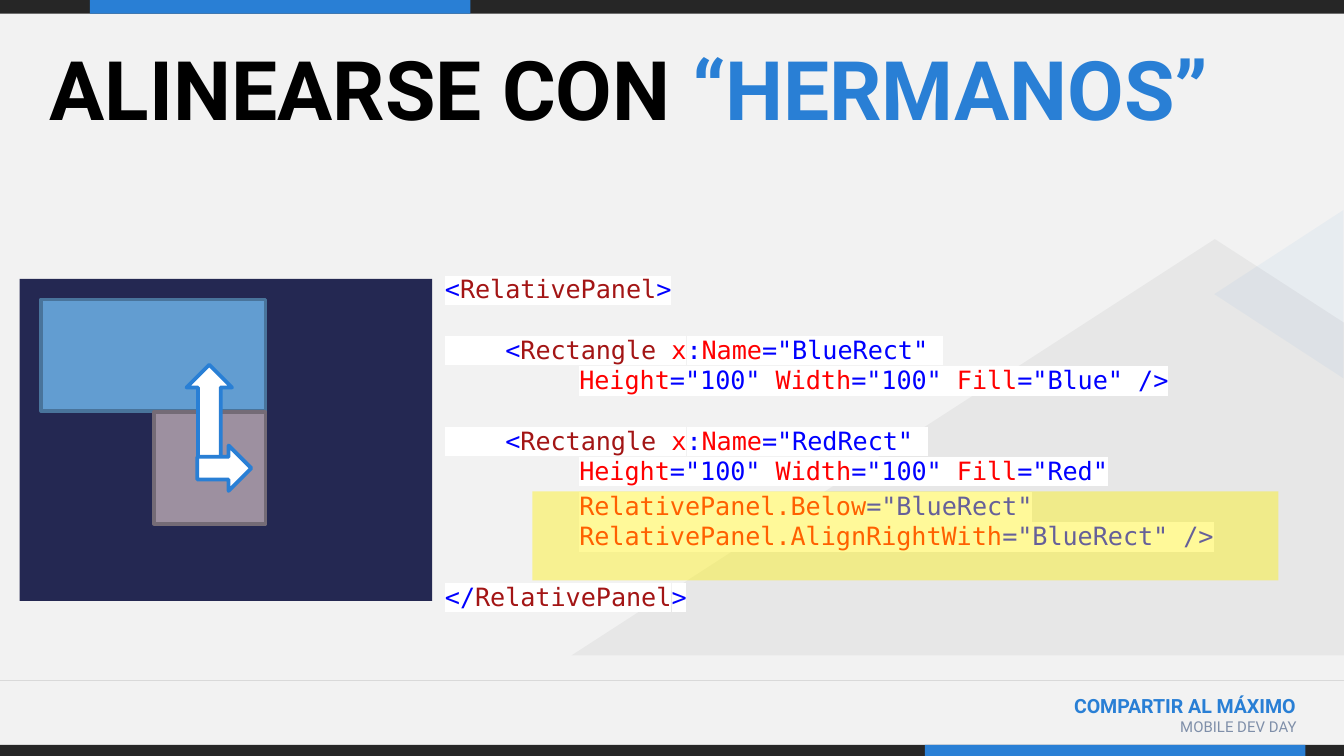
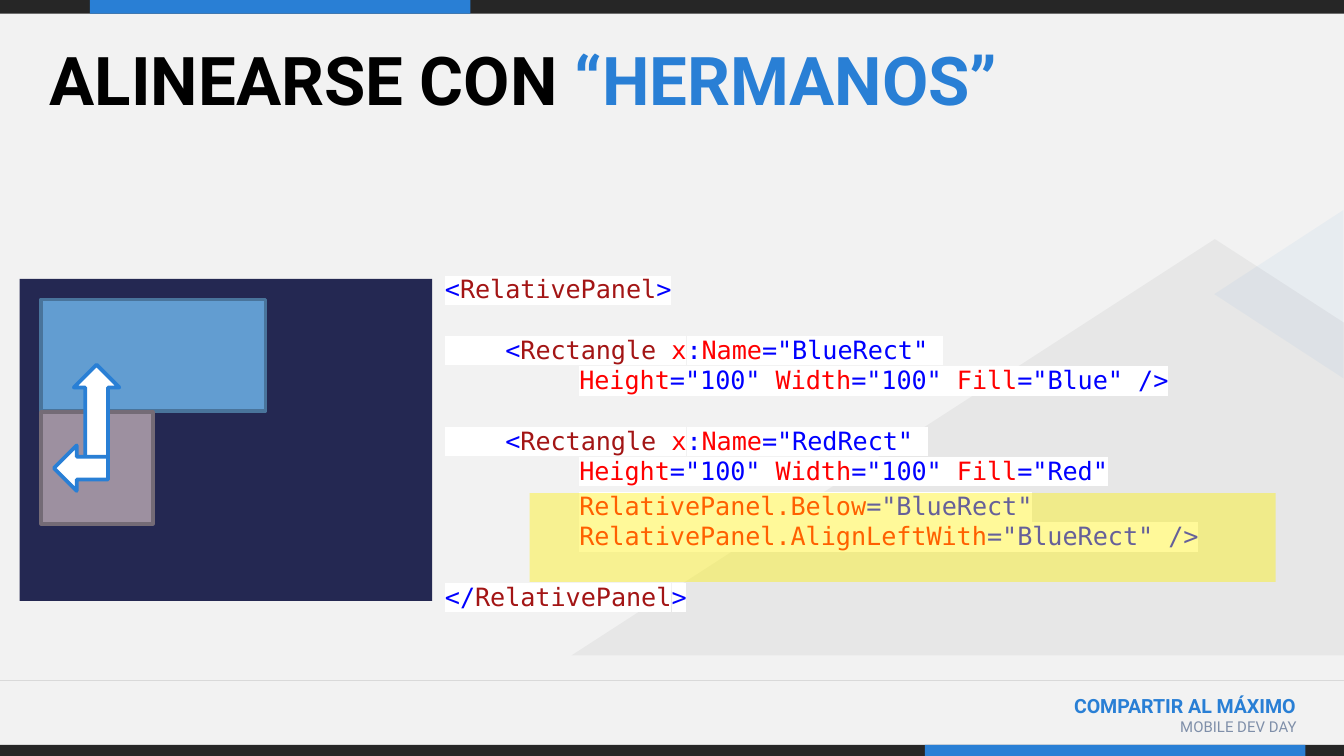
from copy import deepcopy
from dataclasses import dataclass

from lxml import etree
from pptx import Presentation
from pptx.dml.color import RGBColor
from pptx.enum.shapes import MSO_CONNECTOR, MSO_SHAPE
from pptx.enum.text import MSO_ANCHOR, PP_ALIGN
from pptx.oxml.ns import qn
from pptx.util import Cm, Pt

RECT = MSO_SHAPE.RECTANGLE
TRIANGLE = MSO_SHAPE.ISOSCELES_TRIANGLE
LEFT_ARROW = MSO_SHAPE.LEFT_ARROW
STRAIGHT = MSO_CONNECTOR.STRAIGHT
TOP, MIDDLE = MSO_ANCHOR.TOP, MSO_ANCHOR.MIDDLE
LEFT, RIGHT = PP_ALIGN.LEFT, PP_ALIGN.RIGHT


@dataclass(frozen=True)
class Theme:
    width: float = 25.4
    height: float = 14.29
    background: str = "F2F2F2"
    dark: str = "262626"
    accent: str = "297FD5"
    rule: str = "D9D9D9"
    muted: str = "7F8FA9"
    black: str = "000000"
    white: str = "FFFFFF"
    panel: str = "242852"
    blue: str = "629DD1"
    blue_edge: str = "49749B"
    red: str = "9D90A0"
    red_edge: str = "746B76"
    marker: str = "FFF100"
    tag: str = "A31515"
    attribute: str = "FF0000"
    value: str = "0000FF"
    font: str = "Roboto"
    code_font: str = "DejaVu Sans Mono"
    code_size: float = 13.5
    code_line: float = 16.2
    code_step: float = 2.7
    code_tab: float = 2.54
    footer_size: float = 10.5
    event_size: float = 8


THEME = Theme()


def apply(target, values):
    for name, value in values.items():
        setattr(target, name, value)


class Deck:
    def __init__(self, theme):
        self.theme = theme
        self.presentation = Presentation()
        apply(self.presentation, {"slide_width": Cm(theme.width),
                                  "slide_height": Cm(theme.height)})
        self.slide = None

    def new_slide(self):
        theme = self.theme
        self.slide = self.presentation.slides.add_slide(
            self.presentation.slide_layouts[6])
        fill = self.slide.background.fill
        fill.solid()
        fill.fore_color.rgb = RGBColor.from_string(theme.background)
        for top, height, accent_left in ((0, 0.26, 1.7), (14.08, 0.21, 17.48)):
            self.shape(RECT, (0, top, theme.width, height), theme.dark)
            self.shape(RECT, (accent_left, top, 7.19, height), theme.accent)
        self.footer("COMPARTIR AL MÁXIMO", (17.15, 12.99, 7.59, 1.02),
                    theme.footer_size, theme.accent, True)
        self.footer("MOBILE DEV DAY", (20.16, 13.44, 4.6, 0.79),
                    theme.event_size, theme.muted, False)
        self.line((0, 12.86), (theme.width, 12.86), theme.rule, 0.75)
        self.outline([(25.4, 12.39), (25.4, 6.1), (22.96, 4.52),
                      (10.8, 12.39)], theme.dark, 5)
        self.shape(TRIANGLE, (22.58, 4.34, 3.18, 2.44), theme.accent,
                   alpha=5, rotation=270)

    def paint(self, shape, color, alpha=None, edge=None):
        shape.shadow.inherit = False
        shape.fill.solid()
        shape.fill.fore_color.rgb = RGBColor.from_string(color)
        if alpha is not None:
            tint = shape._element.spPr.find(".//" + qn("a:srgbClr"))
            etree.SubElement(tint, qn("a:alpha")).set("val", str(alpha * 1000))
        if edge:
            shape.line.color.rgb = RGBColor.from_string(edge)
            shape.line.width = Pt(2)
        else:
            shape.line.fill.background()

    def shape(self, kind, box, color, alpha=None, edge=None, rotation=0):
        shape = self.slide.shapes.add_shape(kind, *map(Cm, box))
        shape.rotation = rotation
        self.paint(shape, color, alpha, edge)

    def outline(self, points, color, alpha):
        corners = [(Cm(x), Cm(y)) for x, y in points]
        builder = self.slide.shapes.build_freeform(*corners[0])
        builder.add_line_segments(corners[1:], close=True)
        self.paint(builder.convert_to_shape(), color, alpha)

    def line(self, start, end, color, width):
        line = self.slide.shapes.add_connector(
            STRAIGHT, *map(Cm, start + end))
        line.line.color.rgb = RGBColor.from_string(color)
        line.line.width = Pt(width)
        etree.SubElement(line._element.spPr, qn("a:effectLst"))

    def text_box(self, box, anchor=TOP, inset=(0.25, 0.13)):
        frame = self.slide.shapes.add_textbox(*map(Cm, box)).text_frame
        side, edge = map(Cm, inset)
        apply(frame, {"word_wrap": True, "vertical_anchor": anchor,
                      "margin_left": side, "margin_right": side,
                      "margin_top": edge, "margin_bottom": edge})
        return frame

    def run(self, paragraph, text, color, size, bold=False, font=None):
        run = paragraph.add_run()
        run.text = text
        apply(run.font, {"name": font or self.theme.font,
                         "size": Pt(size), "bold": bold})
        run.font.color.rgb = RGBColor.from_string(color)
        return run

    def footer(self, text, box, size, color, bold):
        paragraph = self.text_box(box).paragraphs[0]
        paragraph.alignment = RIGHT
        self.run(paragraph, text, color, size, bold)

    def title(self, plain, accented, size):
        box = self.text_box((0.56, 0.43, 24.28, 2.06), inset=(0.38, 0.3))
        for text, color in ((plain, self.theme.black),
                            (accented, self.theme.accent)):
            self.run(box.paragraphs[0], text, color, size, True)

    def code_run(self, paragraph, text, color):
        theme = self.theme
        run = self.run(paragraph, text, color, theme.code_size,
                       font=theme.code_font)
        highlight = etree.Element(qn("a:highlight"))
        etree.SubElement(highlight, qn("a:srgbClr")).set("val", theme.white)
        properties = run._r.rPr
        properties.find(qn("a:solidFill")).addnext(highlight)
        return properties

    def tab_stop(self, paragraph, position):
        stops = etree.SubElement(paragraph._p.get_or_add_pPr(),
                                 qn("a:tabLst"))
        stop = etree.SubElement(stops, qn("a:tab"))
        stop.set("pos", str(Cm(position)))
        stop.set("algn", "l")

    def code(self, blocks, width):
        frame = self.text_box((8.03, 2.46, width, 11.81), MIDDLE, (0.38, 0.3))
        for index, (space, lines) in enumerate(blocks):
            paragraph = frame.add_paragraph() if index else frame.paragraphs[0]
            paragraph.alignment = LEFT
            if index:
                paragraph.space_before = Pt(space)
            self.tab_stop(paragraph, self.theme.code_tab)
            for row, tokens in enumerate(lines):
                if row:
                    paragraph.add_line_break()
                    paragraph._p[-1].append(deepcopy(properties))
                for text, color in tokens:
                    properties = self.code_run(paragraph, text, color)


def rectangle_code(name, color, ending):
    tag, attribute, value = THEME.tag, THEME.attribute, THEME.value
    return [
        [("    ", THEME.black), ("<", value), ("Rectangle", tag),
         (" x", attribute), (":", value), ("Name", attribute),
         (f'="{name}" ', value)],
        [("\tHeight", attribute), ('="100"', value),
         (" Width", attribute), ('="100"', value),
         (" Fill", attribute), (f'="{color}"{ending}', value)],
    ]


def panel_code(alignment):
    tag, attribute, value = THEME.tag, THEME.attribute, THEME.value
    return [
        (0, [[("<", value), ("RelativePanel", tag), (">", value)]]),
        (THEME.code_line, rectangle_code("BlueRect", "Blue", " />")),
        (THEME.code_line, rectangle_code("RedRect", "Red", "")),
        (THEME.code_step, [
            [("\tRelativePanel.Below", attribute), ('="BlueRect"', value)],
            [(f"\tRelativePanel.{alignment}", attribute),
             ('="BlueRect" />', value)]]),
        (THEME.code_line,
         [[("</", value), ("RelativePanel", tag), (">", value)]]),
    ]


def sibling_slide(deck, title_size, alignment, code_width, red_left,
                  side_left, side_rotation, marker):
    deck.new_slide()
    deck.title("ALINEARSE CON ", "“HERMANOS”", title_size)
    deck.code(panel_code(alignment), code_width)
    deck.shape(RECT, (0.37, 5.27, 7.8, 6.09), THEME.panel)
    deck.shape(RECT, (0.78, 5.66, 4.24, 2.11), THEME.blue,
               edge=THEME.blue_edge)
    deck.shape(RECT, (red_left, 7.79, 2.11, 2.11), THEME.red,
               edge=THEME.red_edge)
    deck.shape(LEFT_ARROW, (red_left + 0.17, 7.34, 1.75, 0.86), THEME.white,
               edge=THEME.accent, rotation=90)
    deck.shape(LEFT_ARROW, (side_left, 8.42, 1.02, 0.86), THEME.white,
               edge=THEME.accent, rotation=side_rotation)
    deck.shape(RECT, (*marker, 14.1, 1.68), THEME.marker, alpha=40)


def main():
    deck = Deck(THEME)
    sibling_slide(deck, 44, "AlignRightWith", 17.37, 2.91, 3.73, 180,
                  (10.06, 9.29))
    sibling_slide(deck, 36, "AlignLeftWith", 15.39, 0.78, 1.02, 0,
                  (10.01, 9.32))
    deck.presentation.save("out.pptx")


if __name__ == "__main__":
    main()
